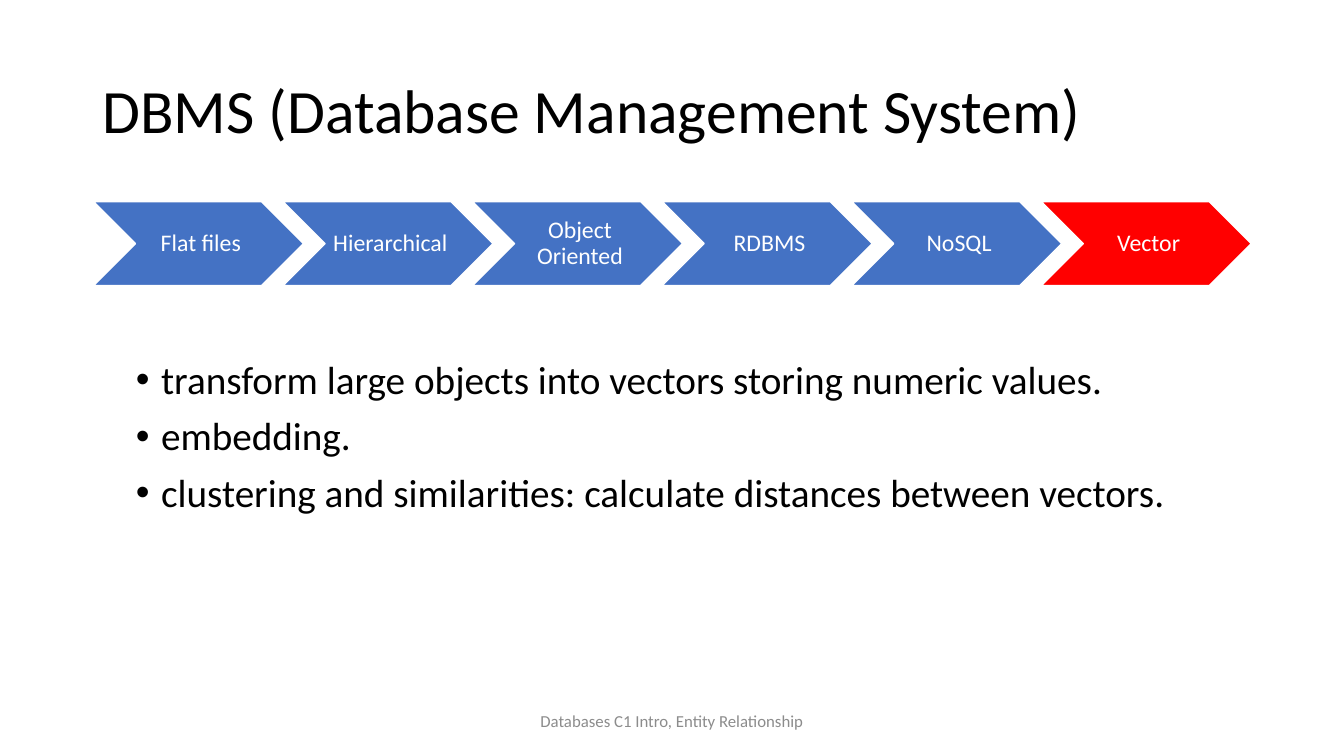
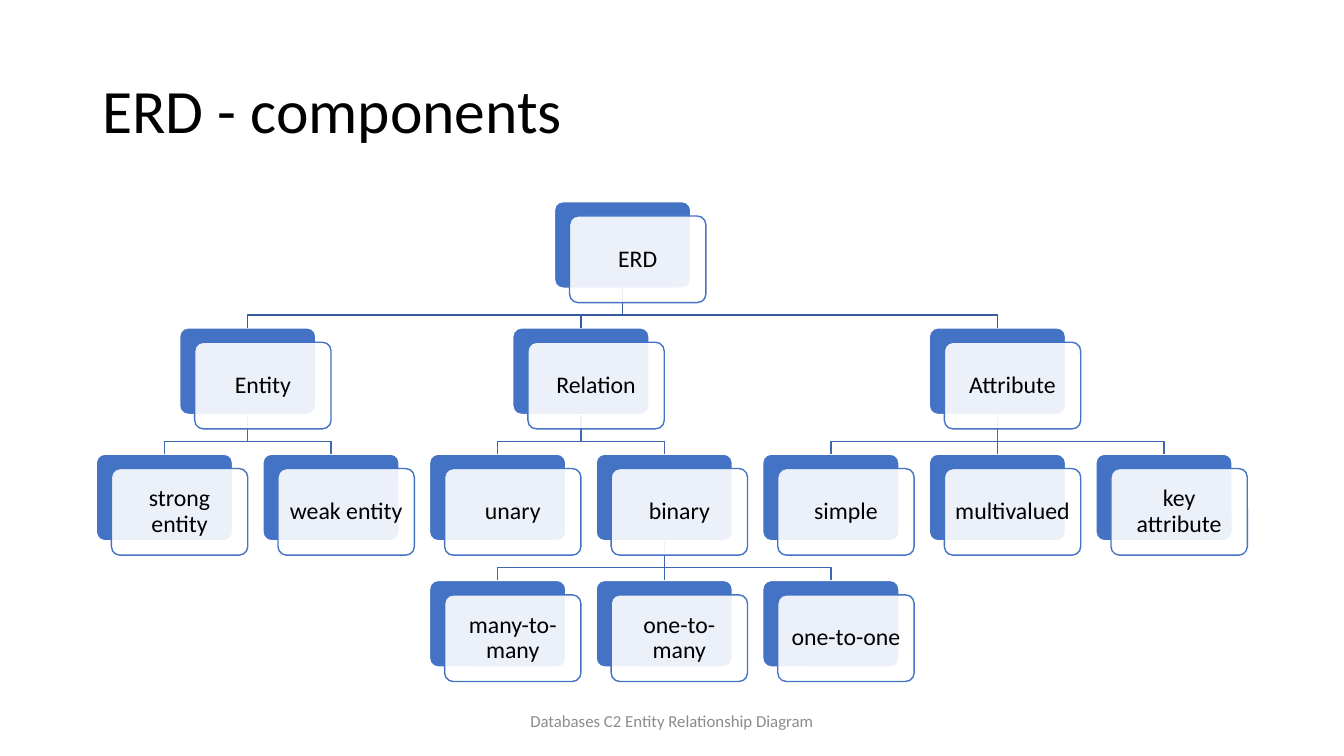
import pptx
import pptx.util
import pptx.dml.color
import pptx.enum.shapes
import pptx.enum.text
import pptx.oxml.ns
import lxml.etree

Pt = pptx.util.Pt
Shape = pptx.enum.shapes.MSO_SHAPE
Align = pptx.enum.text.PP_ALIGN
Anchor = pptx.enum.text.MSO_ANCHOR
qn = pptx.oxml.ns.qn

COLORS = {
    "text": "000000",
    "paper": "FFFFFF",
    "blue": "4472C4",
    "red": "FF0000",
    "root_link": "365B9D",
    "link": "3E67B2",
    "footer": "8C8C8C",
}

STAGES = ["Flat files", "Hierarchical", "Object Oriented", "RDBMS", "NoSQL", "Vector"]
STAGE_LEFT, STAGE_PITCH, STAGE_TOP = 66.8, 135.4, 144
STAGE_WIDTH, STAGE_HEIGHT = 150, 60

BULLETS = [
    "transform large objects into vectors storing numeric values.",
    "embedding.",
    "clustering and similarities: calculate distances between vectors.",
]

TREE = ("ERD", [
    ("Entity", [("strong entity", 0), ("weak entity", 1)]),
    ("Relation", [
        ("unary", 2),
        ("binary", [("many-to-many", 2), ("one-to-many", 3), ("one-to-one", 4)]),
    ]),
    ("Attribute", [("simple", 4), ("multivalued", 5), ("key attribute", 6)]),
])
TREE_LEFT, TREE_TOP = 68.8, 144
COLUMN_PITCH, ROW_PITCH = 119, 90.2
NODE_WIDTH, NODE_HEIGHT = 97.4, 61.9
FRONT_SHIFT = 10.8, 10.3
BEND_RISE = 9.2


def color(name):
    return pptx.dml.color.RGBColor.from_string(COLORS[name])


def write(frame, text, size=17, ink="text", align=Align.CENTER, spacing=0.9,
          after=0, bullet=False, anchor=Anchor.MIDDLE, insets=(7.2, 3.6, 7.2, 3.6)):
    frame.word_wrap = True
    frame.auto_size = pptx.enum.text.MSO_AUTO_SIZE.NONE
    frame.vertical_anchor = anchor
    frame.margin_left, frame.margin_top, frame.margin_right, frame.margin_bottom = map(Pt, insets)
    lines = [text] if isinstance(text, str) else text
    for index, line in enumerate(lines):
        para = frame.add_paragraph() if index else frame.paragraphs[0]
        para.alignment = align
        para.line_spacing = spacing
        para.space_before = Pt(0)
        para.space_after = Pt(after)
        if bullet:
            properties = para._p.get_or_add_pPr()
            properties.set("marL", str(Pt(18)))
            properties.set("indent", str(Pt(-18)))
            lxml.etree.SubElement(properties, qn("a:buFont")).set("typeface", "Arial")
            lxml.etree.SubElement(properties, qn("a:buChar")).set("char", "•")
        span = para.add_run()
        span.text = line
        span.font.name = "Calibri"
        span.font.size = Pt(size)
        span.font.color.rgb = color(ink)


class Deck:
    def __init__(self):
        self.deck = pptx.Presentation()
        self.deck.slide_width, self.deck.slide_height = Pt(960), Pt(540)
        self.page = None

    def add_page(self, title, footer):
        self.page = self.deck.slides.add_slide(self.deck.slide_layouts[5])
        box = self.page.shapes.title
        box.left, box.top, box.width, box.height = Pt(66), Pt(29), Pt(828), Pt(104.4)
        write(box.text_frame, title, size=44, align=Align.LEFT)
        self.text(footer, 318, 500.5, 324, 28.8, size=12, ink="footer", spacing=1)

    def text(self, text, left, top, width, height, **format):
        box = self.page.shapes.add_textbox(Pt(left), Pt(top), Pt(width), Pt(height))
        write(box.text_frame, text, **format)

    def shape(self, kind, left, top, width, height, fill, line, opacity=100):
        shape = self.page.shapes.add_shape(kind, Pt(left), Pt(top), Pt(width), Pt(height))
        shape.shadow.inherit = False
        shape.fill.solid()
        shape.fill.fore_color.rgb = color(fill)
        shape.line.color.rgb = color(line)
        shape.line.width = Pt(1)
        if opacity < 100:
            tint = shape._element.spPr.find(qn("a:solidFill"))[0]
            lxml.etree.SubElement(tint, qn("a:alpha")).set("val", str(opacity * 1000))
        return shape

    def chevron(self, text, left, fill):
        shape = self.shape(Shape.CHEVRON, left, STAGE_TOP, STAGE_WIDTH, STAGE_HEIGHT, fill, "paper")
        write(shape.text_frame, text, ink="paper", insets=(5, 1.6, 1.6, 1.6))

    def card(self, left, top, fill, line, opacity=100):
        shape = self.shape(Shape.ROUNDED_RECTANGLE, left, top, NODE_WIDTH, NODE_HEIGHT,
                           fill, line, opacity)
        shape.adjustments[0] = 0.1
        return shape

    def link(self, parent, child, ink):
        start_x, end_x = (node.left + node.width // 2 for node in (parent, child))
        start_y, end_y = parent.top + parent.height, child.top
        if abs(start_x - end_x) < Pt(1):
            line = self.page.shapes.add_connector(
                pptx.enum.shapes.MSO_CONNECTOR.STRAIGHT, start_x, start_y, end_x, end_y)
            line.begin_connect(parent, 2)
            line.end_connect(child, 0)
            lxml.etree.SubElement(line._element.spPr, qn("a:effectLst"))
        else:
            bend = end_y - Pt(BEND_RISE)
            outline = self.page.shapes.build_freeform(start_x, start_y)
            outline.add_line_segments([(start_x, bend), (end_x, bend), (end_x, end_y)], close=False)
            line = outline.convert_to_shape()
            line.fill.background()
            line.shadow.inherit = False
        line.line.color.rgb = color(ink)
        line.line.width = Pt(1)

    def tree(self, root):
        nodes, links = [], []

        def place(branch, level):
            label, content = branch
            column = content
            children = []
            if isinstance(content, list):
                children = [place(child, level + 1) for child in content]
                column = (children[0][0] + children[-1][0]) / 2
            left, top = TREE_LEFT + column * COLUMN_PITCH, TREE_TOP + level * ROW_PITCH
            back = self.card(left, top, "blue", "paper")
            nodes.append((label, left, top))
            links.extend((back, child, "link" if level else "root_link") for _, child in children)
            return column, back

        place(root, 0)
        for parent, child, ink in links:
            self.link(parent, child, ink)
        for label, left, top in nodes:
            front = self.card(left + FRONT_SHIFT[0], top + FRONT_SHIFT[1], "paper", "blue", 90)
            write(front.text_frame, label, insets=(4.8, 4.8, 4.8, 4.8))


def main():
    show = Deck()

    show.add_page("DBMS (Database Management System)", "Databases C1 Intro, Entity Relationship")
    for index, stage in enumerate(STAGES):
        fill = "red" if stage == "Vector" else "blue"
        show.chevron(stage, STAGE_LEFT + index * STAGE_PITCH, fill)
    show.text(BULLETS, 90, 254, 828, 256, size=28, align=Align.LEFT, after=10,
              bullet=True, anchor=Anchor.TOP)

    show.add_page("ERD - components", "Databases C2 Entity Relationship Diagram")
    show.tree(TREE)

    show.deck.save("out.pptx")


if __name__ == "__main__":
    main()
